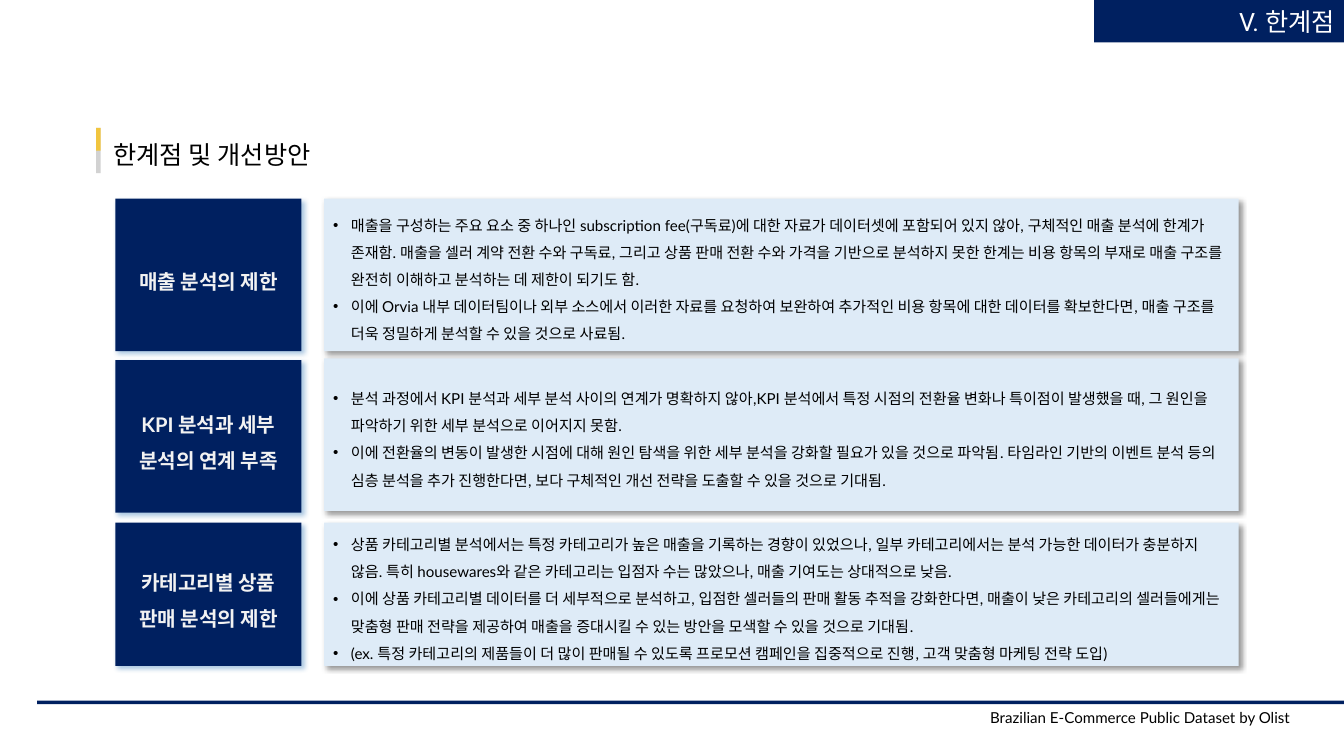
"""Build the slide on limitations and improvements of the sales analysis."""
import pptx
import pptx.dml.color
import pptx.enum.shapes
import pptx.enum.text
import pptx.oxml.ns
import pptx.util
from lxml import etree

Cm = pptx.util.Cm
Pt = pptx.util.Pt
ALIGN = pptx.enum.text.PP_ALIGN
ANCHOR = pptx.enum.text.MSO_ANCHOR
NAVY, PALE, BLACK, WHITE = "002060", "DEEBF7", "000000", "FFFFFF"

SECTION = "V. 한계점"
HEADING = "한계점 및 개선방안"
SOURCE = "Brazilian E-Commerce Public Dataset by Olist"
LIMITS = [
    {"label": "매출 분석의 제한", "label_top": 5.56, "points_top": 5.56, "height": 4.27, "points": [
        "매출을 구성하는 주요 요소 중 하나인 subscription fee(구독료)에 대한 자료가 데이터셋에 포함되어 있지 않아, "
        "구체적인 매출 분석에 한계가 존재함. 매출을 셀러 계약 전환 수와 구독료, 그리고 상품 판매 전환 수와 가격을 "
        "기반으로 분석하지 못한 한계는 비용 항목의 부재로 매출 구조를 완전히 이해하고 분석하는 데 제한이 되기도 함.",
        "이에 Orvia 내부 데이터팀이나 외부 소스에서 이러한 자료를 요청하여 보완하여 추가적인 비용 항목에 대한 "
        "데이터를 확보한다면, 매출 구조를 더욱 정밀하게 분석할 수 있을 것으로 사료됨."]},
    {"label": "KPI 분석과 세부 분석의 연계 부족", "label_top": 10.08, "points_top": 10.03, "height": 4.27, "points": [
        "분석 과정에서 KPI 분석과 세부 분석 사이의 연계가 명확하지 않아,KPI 분석에서 특정 시점의 전환율 변화나 "
        "특이점이 발생했을 때, 그 원인을 파악하기 위한 세부 분석으로 이어지지 못함.",
        "이에 전환율의 변동이 발생한 시점에 대해 원인 탐색을 위한 세부 분석을 강화할 필요가 있을 것으로 파악됨. "
        "타임라인 기반의 이벤트 분석 등의 심층 분석을 추가 진행한다면, 보다 구체적인 개선 전략을 도출할 수 있을 "
        "것으로 기대됨."]},
    {"label": "카테고리별 상품 판매 분석의 제한", "label_top": 14.63, "points_top": 14.63, "height": 4.01, "points": [
        "상품 카테고리별 분석에서는 특정 카테고리가 높은 매출을 기록하는 경향이 있었으나, 일부 카테고리에서는 "
        "분석 가능한 데이터가 충분하지 않음. 특히 housewares와 같은 카테고리는 입점자 수는 많았으나, 매출 기여도는 "
        "상대적으로 낮음.",
        "이에 상품 카테고리별 데이터를 더 세부적으로 분석하고, 입점한 셀러들의 판매 활동 추적을 강화한다면, 매출이 "
        "낮은 카테고리의 셀러들에게는 맞춤형 판매 전략을 제공하여 매출을 증대시킬 수 있는 방안을 모색할 수 있을 "
        "것으로 기대됨.",
        "(ex. 특정 카테고리의 제품들이 더 많이 판매될 수 있도록 프로모션 캠페인을 집중적으로 진행, 고객 맞춤형 "
        "마케팅 전략 도입)"]},
]
ACCENTS = [("BFBFBF", 1.27), ("FFC000", 0.64)]
LABEL_LEFT, LABEL_WIDTH = 3.23, 5.21
POINTS_LEFT, POINTS_WIDTH = 9.07, 25.6


def color(value):
    return pptx.dml.color.RGBColor.from_string(value)


def add_xml(parent, tag, **attributes):
    attributes = {key: str(value) for key, value in attributes.items()}
    return etree.SubElement(parent, pptx.oxml.ns.qn(tag), attributes)


def paint(shape, fill):
    shape.fill.solid()
    shape.fill.fore_color.rgb = color(fill)
    shape.line.fill.background()
    shape.shadow.inherit = False


def add_bar(slide, left, top, width, height, fill):
    bar = slide.shapes.add_shape(pptx.enum.shapes.MSO_SHAPE.RECTANGLE,
                                 Cm(left), Cm(top), Cm(width), Cm(height))
    paint(bar, fill)
    return bar


def place(shape, left, top, width, height):
    shape.left, shape.top, shape.width, shape.height = Cm(left), Cm(top), Cm(width), Cm(height)


def add_shadow(shape, tint):
    effects = shape._element.spPr.find(pptx.oxml.ns.qn("a:effectLst"))
    shadow = add_xml(effects, "a:outerShdw", blurRad=Pt(4), dist=Pt(3), dir=45 * 60000,
                     algn="tl", rotWithShape=0)
    add_xml(add_xml(shadow, "a:srgbClr", val=tint), "a:alpha", val=40000)


def write(shape, paragraphs, size, font, ink, align=ALIGN.LEFT, anchor=ANCHOR.MIDDLE,
          spacing=1.0, bold=False, bullets=False):
    frame = shape.text_frame
    frame.word_wrap = True
    frame.auto_size = pptx.enum.text.MSO_AUTO_SIZE.NONE
    frame.vertical_anchor = anchor
    for number, text in enumerate(paragraphs):
        paragraph = frame.add_paragraph() if number else frame.paragraphs[0]
        paragraph.alignment = align
        paragraph.line_spacing = spacing
        paragraph.space_before = Pt(0)
        if bullets:
            properties = paragraph._p.get_or_add_pPr()
            properties.set("marL", str(Cm(0.5)))
            properties.set("indent", str(Cm(-0.5)))
            add_xml(properties, "a:buFont", typeface="Arial")
            add_xml(properties, "a:buChar", char="•")
        run = paragraph.add_run()
        run.text = text
        run.font.size = Pt(size)
        run.font.name = font
        run.font.bold = bold
        run.font.color.rgb = color(ink)


def main():
    deck = pptx.Presentation()
    deck.slide_width, deck.slide_height = Cm(37.62), Cm(21.16)
    slide = deck.slides.add_slide(deck.slide_layouts[4])
    heading, *bodies = slide.placeholders

    add_bar(slide, 1.04, 19.61, 36.58, 0.1, NAVY)
    section = add_bar(slide, 30.63, 0, 6.99, 1.19, NAVY)
    write(section, [SECTION], 20, "Roboto", WHITE, ALIGN.RIGHT)

    place(heading, 2.92, 3.76, 13.28, 1.12)
    write(heading, [HEADING], 20, "Roboto", BLACK, anchor=ANCHOR.TOP)
    for tint, height in ACCENTS:
        accent = add_bar(slide, 2.69, 3.58, 0.13, height, tint)
        rgb = accent._element.spPr.find(".//" + pptx.oxml.ns.qn("a:srgbClr"))
        add_xml(rgb, "a:alpha", val=70000)

    for limit, points in zip(LIMITS, bodies):
        place(points, POINTS_LEFT, limit["points_top"], POINTS_WIDTH, limit["height"])
        paint(points, PALE)
        add_shadow(points, BLACK)
        write(points, limit["points"], 12, "Lato", BLACK, spacing=1.5, bullets=True)

        label = add_bar(slide, LABEL_LEFT, limit["label_top"], LABEL_WIDTH, limit["height"], NAVY)
        add_shadow(label, "2E75B6")
        write(label, [limit["label"]], 16, "Lato", "F2F2F2", ALIGN.CENTER, spacing=1.5, bold=True)

    for unused in bodies[len(LIMITS):]:
        unused._element.getparent().remove(unused._element)

    source = slide.shapes.add_textbox(Cm(25.17), Cm(19.69), Cm(11.2), Cm(1.19))
    write(source, [SOURCE], 12, "Lato", BLACK, ALIGN.RIGHT, ANCHOR.TOP)
    deck.save("out.pptx")


if __name__ == "__main__":
    main()
